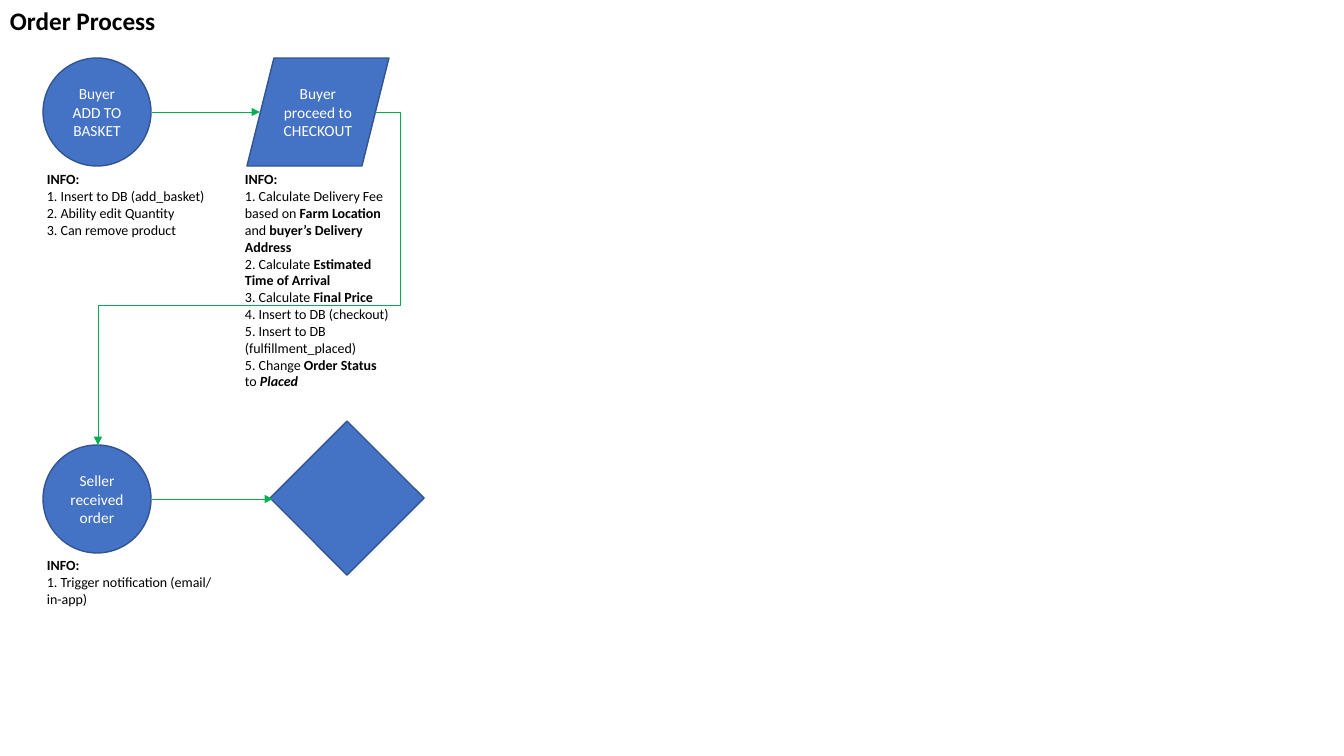
from pptx import Presentation
from pptx.dml.color import RGBColor
from pptx.enum.shapes import MSO_CONNECTOR as LINK, MSO_SHAPE as SHAPE
from pptx.enum.text import MSO_ANCHOR, MSO_AUTO_SIZE, PP_ALIGN
from pptx.oxml.ns import qn
from pptx.util import Pt
from lxml import etree

PIXEL = 914400 / 100.8
BLUE = RGBColor(0x44, 0x72, 0xC4)
NAVY = RGBColor(0x32, 0x54, 0x91)
GREEN = RGBColor(0x00, 0xB0, 0x50)
BLACK = RGBColor(0, 0, 0)
WHITE = RGBColor(255, 255, 255)


def emu(*pixels):
    return [round(value * PIXEL) for value in pixels]


def set_font(font, size, color):
    font.name, font.size = "Calibri", Pt(size)
    font.color.rgb = color


deck = Presentation()
deck.slide_width, deck.slide_height = emu(1344, 756)
page = deck.slides.add_slide(deck.slide_layouts[6])

# Title and info notes: each paragraph alternates plain and bold spans
notes = [
    ((0, 0, 331, 40), 18, [["", "Order Process"]]),
    ((37, 166, 190, 78), 10, [
        ["", "INFO:"],
        ["1. Insert to DB (add_basket)\v2. Ability edit Quantity"],
        ["3. Can remove product"],
    ]),
    ((235, 166, 166, 231), 10, [
        ["", "INFO:"],
        ["1. Calculate Delivery Fee based on ", "Farm Location", " and ",
         "buyer’s Delivery Address"],
        ["2. Calculate ", "Estimated Time of Arrival"],
        ["3. Calculate ", "Final Price"],
        ["4. Insert to DB (checkout)"],
        ["5. Insert to DB (fulfillment_placed)"],
        ["5. Change ", "Order Status", " to ", "Placed"],
    ]),
    ((37, 552, 190, 61), 10, [
        ["", "INFO:"],
        ["1. Trigger notification (email/ in-app)"],
    ]),
]
for place, size, lines in notes:
    box = page.shapes.add_textbox(*emu(*place))
    frame = box.text_frame
    frame.word_wrap = True
    frame.auto_size = MSO_AUTO_SIZE.SHAPE_TO_FIT_TEXT
    for row, line in enumerate(lines):
        para = frame.add_paragraph() if row else frame.paragraphs[0]
        set_font(para.font, size, BLACK)
        for index, words in enumerate(line):
            if not words:
                continue
            for part, piece in enumerate(words.split("\v")):
                if part:
                    para.add_line_break()
                span = para.add_run()
                span.text = piece
                set_font(span.font, size, BLACK)
                span.font.bold = index % 2 == 1
                if piece == "Placed":
                    span.font.italic = True

# Process steps
steps = [
    (SHAPE.OVAL, (43, 58, 108, 108), "Buyer\vADD TO BASKET"),
    (SHAPE.PARALLELOGRAM, (247, 58, 142, 108), "Buyer proceed to CHECKOUT"),
    (SHAPE.OVAL, (43, 445, 108, 108), "Seller\vreceived order"),
    (SHAPE.DIAMOND, (270, 421, 154, 154), ""),
]
for kind, place, words in steps:
    step = page.shapes.add_shape(kind, *emu(*place))
    step.shadow.inherit = False
    step.fill.solid()
    step.fill.fore_color.rgb = BLUE
    step.line.color.rgb = NAVY
    step.line.width = Pt(1)
    step.text_frame.vertical_anchor = MSO_ANCHOR.MIDDLE
    para = step.text_frame.paragraphs[0]
    para.text = words
    para.alignment = PP_ALIGN.CENTER
    set_font(para.font, 11, WHITE)

# Arrows between the steps
arrows = [
    (LINK.STRAIGHT, (152, 112, 260, 112)),
    (LINK.ELBOW, (375, 112, 98, 445)),
    (LINK.STRAIGHT, (152, 499, 273, 499)),
]
for kind, ends in arrows:
    arrow = page.shapes.add_connector(kind, *emu(*ends))
    arrow.line.color.rgb = GREEN
    arrow.line.width = Pt(0.5)
    etree.SubElement(arrow.line._get_or_add_ln(), qn("a:tailEnd"), type="triangle")
    properties = arrow._element.spPr
    etree.SubElement(properties, qn("a:effectLst"))
    if kind == LINK.ELBOW:
        # Leave to the right, pass under the checkout step, then come down
        outline = properties.find(qn("a:prstGeom"))
        outline.set("prst", "bentConnector4")
        guides = outline.find(qn("a:avLst"))
        for name, value in (("adj1", -9100), ("adj2", 58100)):
            etree.SubElement(guides, qn("a:gd"), name=name, fmla=f"val {value}")

deck.save("out.pptx")
